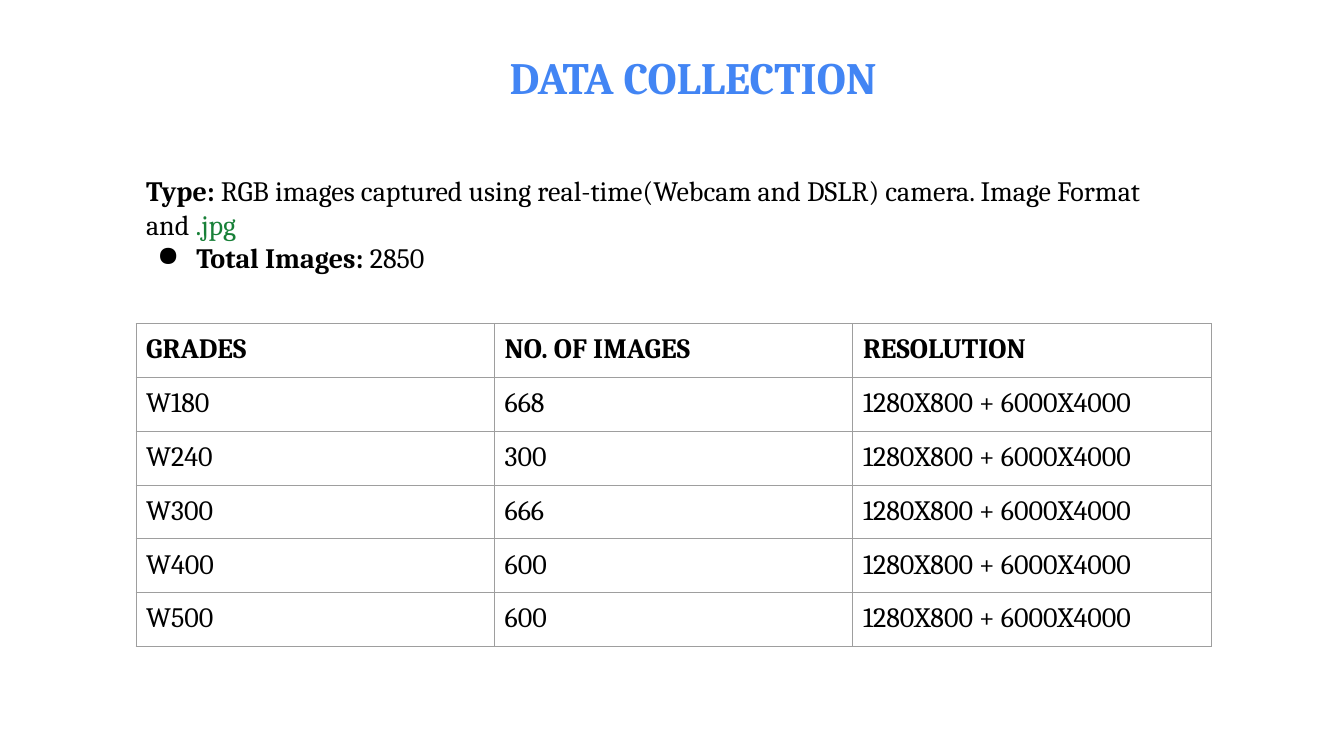
"""Build the data collection slide with its table of image grades."""
from dataclasses import dataclass

from lxml.etree import SubElement
from pptx import Presentation
from pptx.dml.color import RGBColor
from pptx.enum.text import PP_ALIGN
from pptx.oxml import parse_xml
from pptx.oxml.ns import nsdecls, qn
from pptx.util import Inches, Pt


@dataclass(frozen=True)
class Theme:
    font: str = "Cambria"
    title: str = "4285F4"
    text: str = "000000"
    file_format: str = "188038"
    border: str = "9E9E9E"
    title_size: int = 32
    body_size: int = 20
    border_width: float = 0.75


theme = Theme()


def add_run(p, text, bold=False, color=theme.text, size=theme.body_size):
    """Append one styled run to a paragraph."""
    r = p.add_run()
    r.text = text
    r.font.name = theme.font
    r.font.size = Pt(size)
    r.font.bold = bold
    r.font.color.rgb = RGBColor.from_string(color)


def add_text_box(s, left, top, width, height):
    """Add a wrapping text box and return its text frame."""
    tf = s.shapes.add_textbox(Inches(left), Inches(top), Inches(width), Inches(height)).text_frame
    tf.word_wrap = True
    tf.margin_left = tf.margin_right = tf.margin_top = tf.margin_bottom = Inches(0.1)
    return tf


prs = Presentation()
prs.slide_width = Inches(13.33)
prs.slide_height = Inches(7.5)
s = prs.slides.add_slide(prs.slide_layouts[6])

p = add_text_box(s, 4.34, 0.39, 5.07, 0.91).paragraphs[0]
p.alignment = PP_ALIGN.CENTER
add_run(p, "DATA COLLECTION", True, theme.title, theme.title_size)

grades = [("W180", "668"), ("W240", "300"), ("W300", "666"), ("W400", "600"), ("W500", "600")]
rows = [("GRADES", "NO. OF IMAGES", "RESOLUTION")]
rows += [(grade, count, "1280X800 + 6000X4000") for grade, count in grades]
col_width, row_height = 3.555, 0.52
table = s.shapes.add_table(
    len(rows), 3, Inches(1.35), Inches(3.21), Inches(3 * col_width), Inches(len(rows) * row_height)
).table
table.horz_banding = False
table.first_row = False

for i, row in enumerate(rows):
    for j, text in enumerate(row):
        cell = table.cell(i, j)
        cell.fill.background()
        cell.margin_left = cell.margin_right = cell.margin_top = cell.margin_bottom = Inches(0.1)
        add_run(cell.text_frame.paragraphs[0], text, bold=i == 0)
        tc_pr = cell._tc.get_or_add_tcPr()
        for k, side in enumerate(("lnL", "lnR", "lnT", "lnB")):
            tc_pr.insert(k, parse_xml(
                f'<a:{side} {nsdecls("a")} w="{Pt(theme.border_width)}"><a:solidFill>'
                f'<a:srgbClr val="{theme.border}"/></a:solidFill></a:{side}>'
            ))

tf = add_text_box(s, 1.35, 1.62, 10.42, 1.49)
p = tf.paragraphs[0]
add_run(p, "Type:", True)
add_run(p, " RGB images captured using real-time(Webcam and DSLR) camera. Image Format and ")
add_run(p, ".jpg", color=theme.file_format)

p = tf.add_paragraph()
p_pr = p._p.get_or_add_pPr()
p_pr.set("marL", str(Inches(0.5)))
p_pr.set("indent", str(Inches(-0.39)))
SubElement(SubElement(p_pr, qn("a:buClr")), qn("a:srgbClr")).set("val", theme.text)
SubElement(p_pr, qn("a:buChar")).set("char", "●")
add_run(p, "Total Images:", True)
add_run(p, " 2850")

prs.save("out.pptx")
